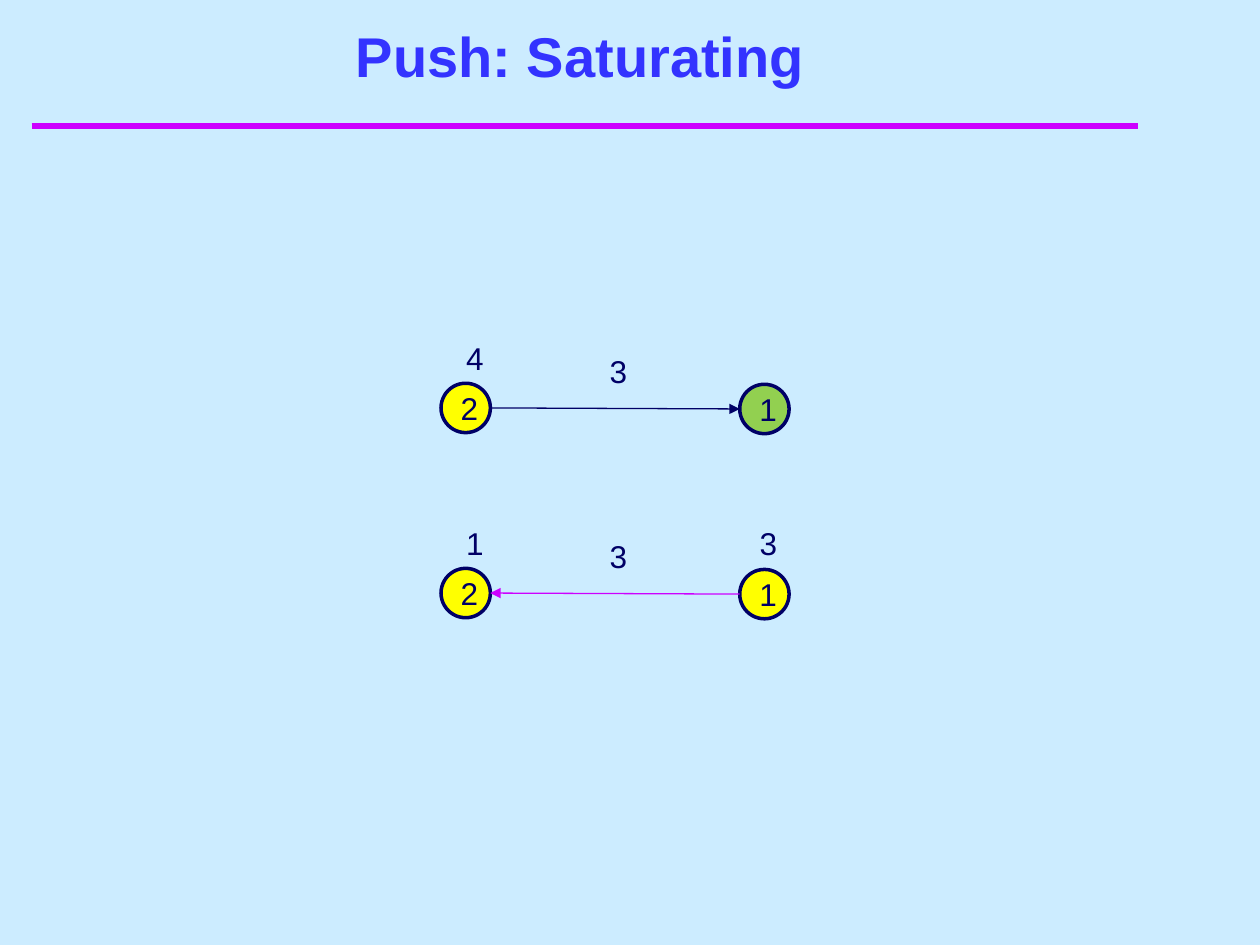
from lxml import etree
from pptx import Presentation
from pptx.dml.color import RGBColor
from pptx.enum.shapes import MSO_CONNECTOR, MSO_SHAPE
from pptx.enum.text import MSO_ANCHOR, MSO_AUTO_SIZE, PP_ALIGN
from pptx.oxml.ns import qn
from pptx.util import Pt

OVAL = MSO_SHAPE.OVAL
LINE = MSO_CONNECTOR.STRAIGHT
MIDDLE, BOTTOM = MSO_ANCHOR.MIDDLE, MSO_ANCHOR.BOTTOM
CENTER, LEFT = PP_ALIGN.CENTER, PP_ALIGN.LEFT
FIT = MSO_AUTO_SIZE.SHAPE_TO_FIT_TEXT

SKY = RGBColor(0xCC, 0xEC, 0xFF)
NAVY = RGBColor(0x00, 0x00, 0x66)
BLUE = RGBColor(0x33, 0x33, 0xFF)
PURPLE = RGBColor(0xCC, 0x00, 0xFF)
YELLOW = RGBColor(0xFF, 0xFF, 0x00)
GREEN = RGBColor(0x92, 0xD0, 0x50)

NODE = 28.2
LEFT_X, RIGHT_X = 252, 422.7
DROP = 0.6  # the right node sits slightly lower than the left one

prs = Presentation()
prs.slide_width, prs.slide_height = Pt(720), Pt(540)
slide = prs.slides.add_slide(prs.slide_layouts[6])
slide.background.fill.solid()
slide.background.fill.fore_color.rgb = SKY
shapes = slide.shapes


def write(shape, text, size=18, color=NAVY, bold=False, align=CENTER):
    para = shape.text_frame.paragraphs[0]
    para.alignment = align
    run = para.add_run()
    run.text = text
    run.font.name = "Arial"
    run.font.size = Pt(size)
    run.font.bold = bold
    run.font.color.rgb = color


def draw_line(start, end, color, width, arrow=False):
    line = shapes.add_connector(LINE, *map(Pt, start + end))
    line.line.color.rgb = color
    line.line.width = Pt(width)
    if arrow:
        tip = etree.SubElement(line.line._get_or_add_ln(), qn("a:tailEnd"))
        tip.set("type", "triangle")
    etree.SubElement(line._element.spPr, qn("a:effectLst"))


draw_line((18, 72), (650.2, 72), PURPLE, 4)

title = shapes.add_textbox(Pt(30), Pt(12), Pt(612), Pt(42))
title.text_frame.word_wrap = True
title.text_frame.vertical_anchor = BOTTOM
write(title, "Push: Saturating ", 32, BLUE, True)

# top, right node fill, excess left and right, arrow colour, arrow points right
rows = [
    (219, GREEN, "4", "", NAVY, True),
    (324.8, YELLOW, "1", "3", PURPLE, False),
]
for top, fill, left, right, color, ahead in rows:
    for x, y, paint, name in [
        (LEFT_X, top, YELLOW, "2"),
        (RIGHT_X, top + DROP, fill, "1"),
    ]:
        node = shapes.add_shape(OVAL, Pt(x), Pt(y), Pt(NODE), Pt(NODE))
        node.shadow.inherit = False
        node.fill.solid()
        node.fill.fore_color.rgb = paint
        node.line.color.rgb = NAVY
        node.line.width = Pt(2)
        node.text_frame.vertical_anchor = MIDDLE
        write(node, name)

    mid = top + NODE / 2
    ends = [(LEFT_X + NODE, mid), (RIGHT_X, mid + DROP)]
    start, end = ends if ahead else ends[::-1]
    draw_line(start, end, color, 0.75, arrow=True)

    for x, rise, text in [(259.2, 28.8, left), (341.3, 21.6, "3"), (427, 28.8, right)]:
        if text:
            label = shapes.add_textbox(Pt(x), Pt(top - rise), Pt(24.4), Pt(29))
            label.text_frame.word_wrap = False
            label.text_frame.auto_size = FIT
            write(label, text, align=LEFT)

prs.save("out.pptx")
